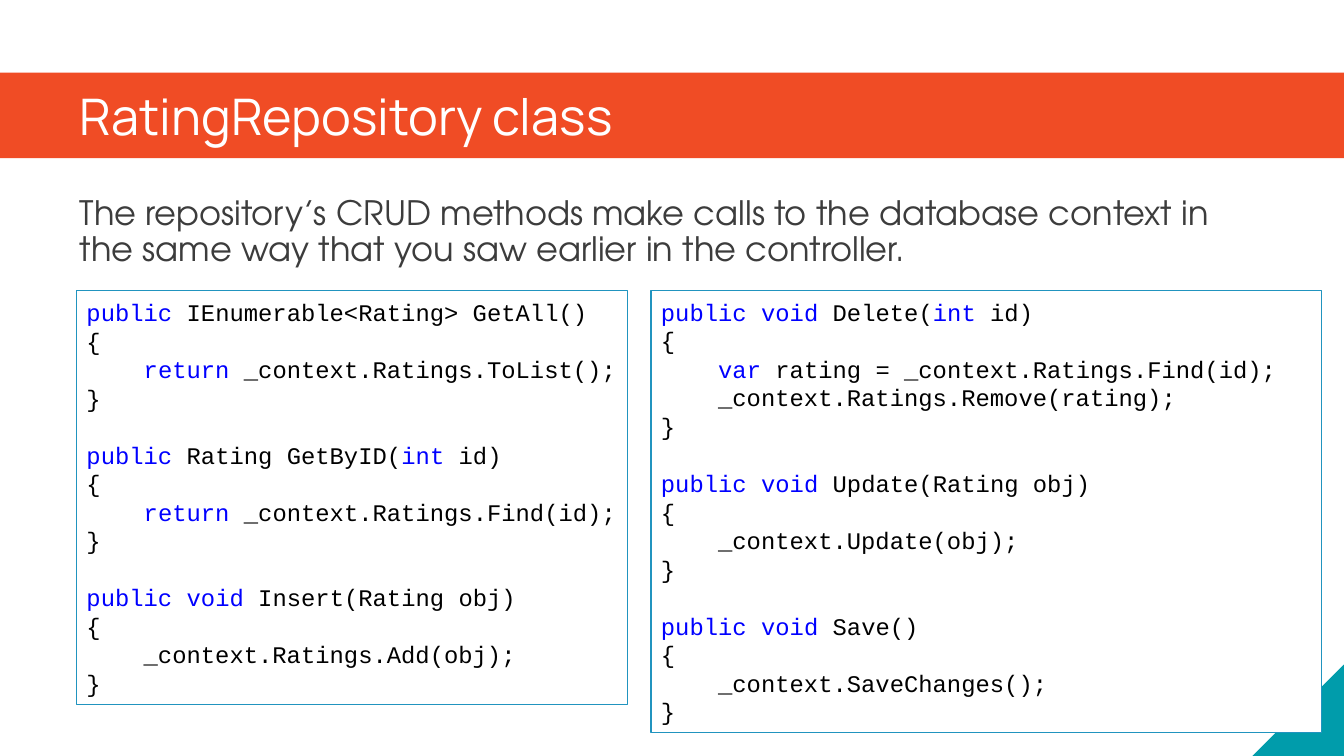
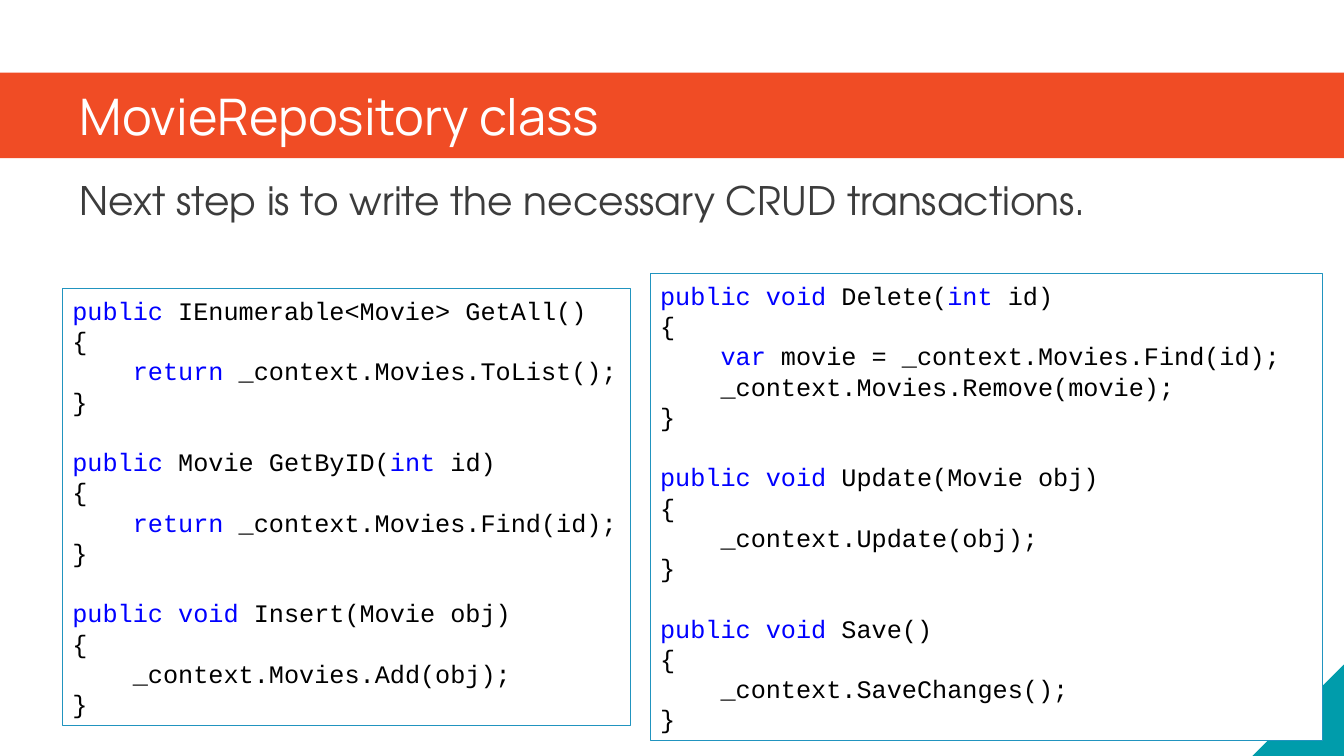
from pptx import Presentation
from pptx.dml.color import RGBColor
from pptx.enum import shapes, text
from pptx.util import Pt

WIDE, HIGH = 960, 540
EDGE = 57
HUES = {"band": "F04C25", "corner": "009CAB", "frame": "2194BF", "body": "3C3C3C",
        "white": "FFFFFF", "code": "000000", "key": "0000FF"}
FONTS = {"title": "Manrope", "body": "TeX Gyre Adventor", "code": "Courier New"}
KEYS = ("public", "void", "int", "var", "return")

# Methods of a repository; "Rating" is swapped for the model of each slide
READ = [
    """public IEnumerable<Rating> GetAll()
{
    return _context.Ratings.ToList();
}""",
    """public Rating GetByID(int id)
{
    return _context.Ratings.Find(id);
}""",
    """public void Insert(Rating obj)
{
    _context.Ratings.Add(obj);
}"""]
WRITE = [
    """public void Delete(int id)
{
    var rating = _context.Ratings.Find(id);
    _context.Ratings.Remove(rating);
}""",
    """public void Update(Rating obj)
{
    _context.Update(obj);
}""",
    """public void Save()
{
    _context.SaveChanges();
}"""]

# Per slide: model, lead text and its size, code size, left and right code box
SLIDES = [
    ("Rating", "The repository’s CRUD methods make calls to the database context "
     "in the same way that you saw earlier in the controller.", 24, 17,
     (54.7, 207.4, 393.8, 295.9), (465, 207.4, 478.8, 316)),
    ("Movie", "Next step is to write the necessary CRUD transactions.", 28, 18,
     (44.6, 205.9, 406, 312.5), (464.4, 195.1, 480.2, 334)),
]


def hue(name):
    return RGBColor.from_string(HUES[name])


def split(line):
    """Cut a code line into (text, colour) runs."""
    for key in KEYS:
        line = line.replace(key, f"~{key}~")
    return [(part, "key" if part in KEYS else "code")
            for part in line.split("~") if part]


def write(para, runs, font, size, lead=None, gap=0):
    """Fill a paragraph with (text, colour) runs."""
    para.alignment = text.PP_ALIGN.LEFT
    if lead:
        para.line_spacing = lead
    if gap:
        para.space_before = Pt(gap)
    for words, tone in runs:
        run = para.add_run()
        run.text = words
        run.font.name = FONTS[font]
        run.font.size = Pt(size)
        run.font.color.rgb = hue(tone)


def setup(frame, pad, anchor):
    """Set wrapping, margins (side, top and bottom) and anchor."""
    frame.word_wrap = True
    frame.margin_left = frame.margin_right = Pt(pad[0])
    frame.margin_top = frame.margin_bottom = Pt(pad[1])
    frame.vertical_anchor = anchor
    return frame


def block(slide, kind, box, fill=None, line=None):
    shape = slide.shapes.add_shape(kind, *map(Pt, box))
    shape.shadow.inherit = False
    if fill:
        shape.fill.solid()
        shape.fill.fore_color.rgb = hue(fill)
    else:
        shape.fill.background()
    if line:
        shape.line.color.rgb = hue(line)
        shape.line.width = Pt(0.75)
    else:
        shape.line.fill.background()
    return shape


def base(slide, title):
    """Title band and corner shared by all slides."""
    band = block(slide, shapes.MSO_SHAPE.RECTANGLE, (0, 51.8, WIDE, 61.2), "band")
    frame = setup(band.text_frame, (EDGE, 0), text.MSO_ANCHOR.MIDDLE)
    write(frame.paragraphs[0], [(title, "white")], "title", 36)
    side = 65.3
    corner = block(slide, shapes.MSO_SHAPE.RIGHT_TRIANGLE,
                   (WIDE - side, HIGH - side, side, side), "corner")
    corner._element.spPr.xfrm.set("flipH", "1")


def intro(slide, words, size):
    box = slide.shapes.add_textbox(0, Pt(114.5), Pt(WIDE), Pt(90))
    frame = setup(box.text_frame, (EDGE, 28), text.MSO_ANCHOR.TOP)
    write(frame.paragraphs[0], [(words, "body")], "body", size, lead=0.9)


def code(slide, parts, model, box, size, fill=None):
    """Framed code, with one line of space between methods."""
    shape = block(slide, shapes.MSO_SHAPE.RECTANGLE, box, fill, "frame")
    frame = setup(shape.text_frame, (7.2, 3.6), text.MSO_ANCHOR.MIDDLE)
    pitch = round(size * 1.2, 1)
    para = None
    for part in parts:
        part = part.replace("Rating", model).replace("rating", model.lower())
        for row, line in enumerate(part.split("\n")):
            gap = pitch if para is not None and row == 0 else 0
            para = frame.paragraphs[0] if para is None else frame.add_paragraph()
            write(para, split(line), "code", size, lead=Pt(pitch), gap=gap)


def main():
    deck = Presentation()
    deck.slide_width, deck.slide_height = Pt(WIDE), Pt(HIGH)
    for model, words, big, small, left, right in SLIDES:
        slide = deck.slides.add_slide(deck.slide_layouts[6])
        base(slide, f"{model}Repository class")
        intro(slide, words, big)
        code(slide, READ, model, left, small)
        code(slide, WRITE, model, right, small, fill="white")
    deck.save("out.pptx")


if __name__ == "__main__":
    main()
